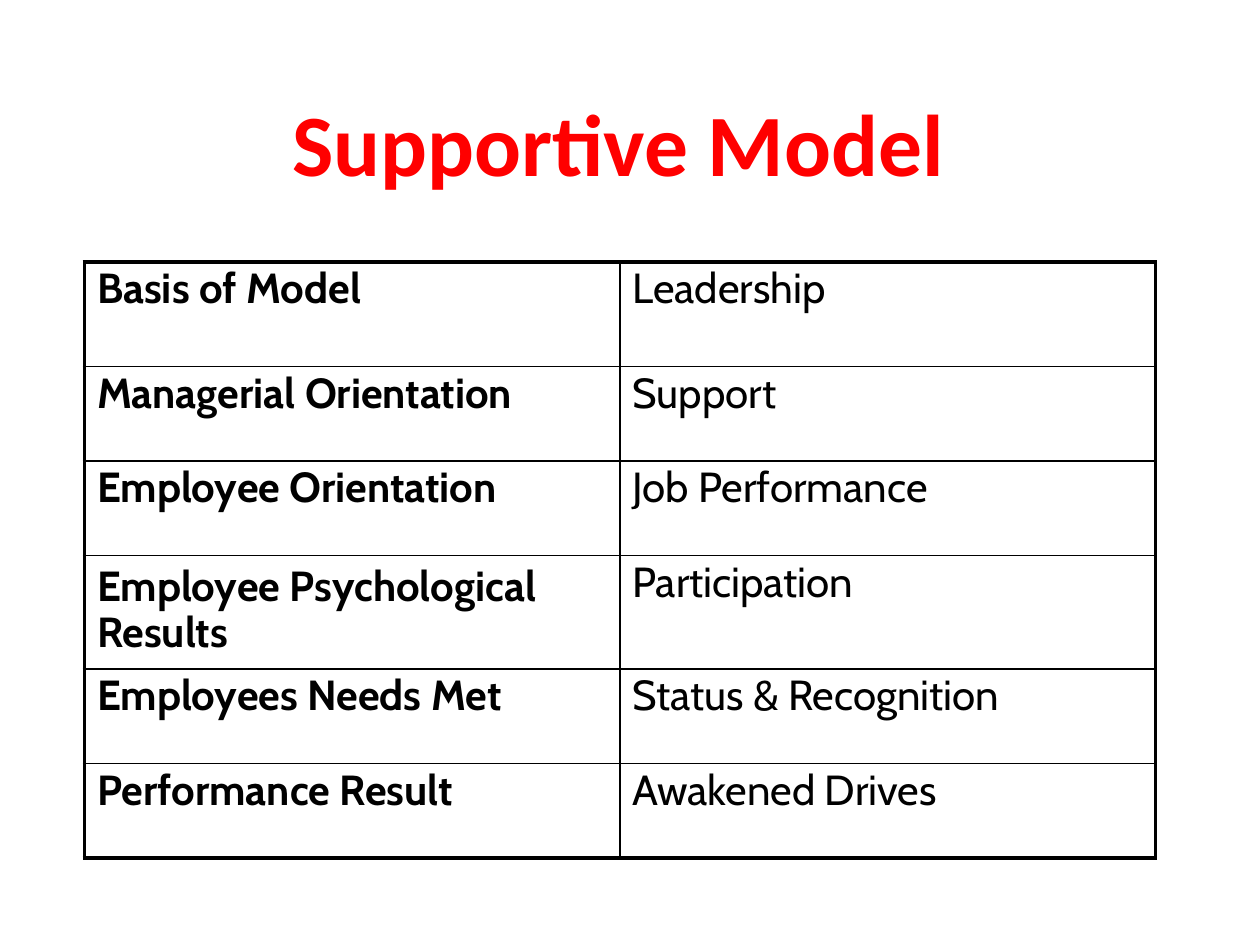
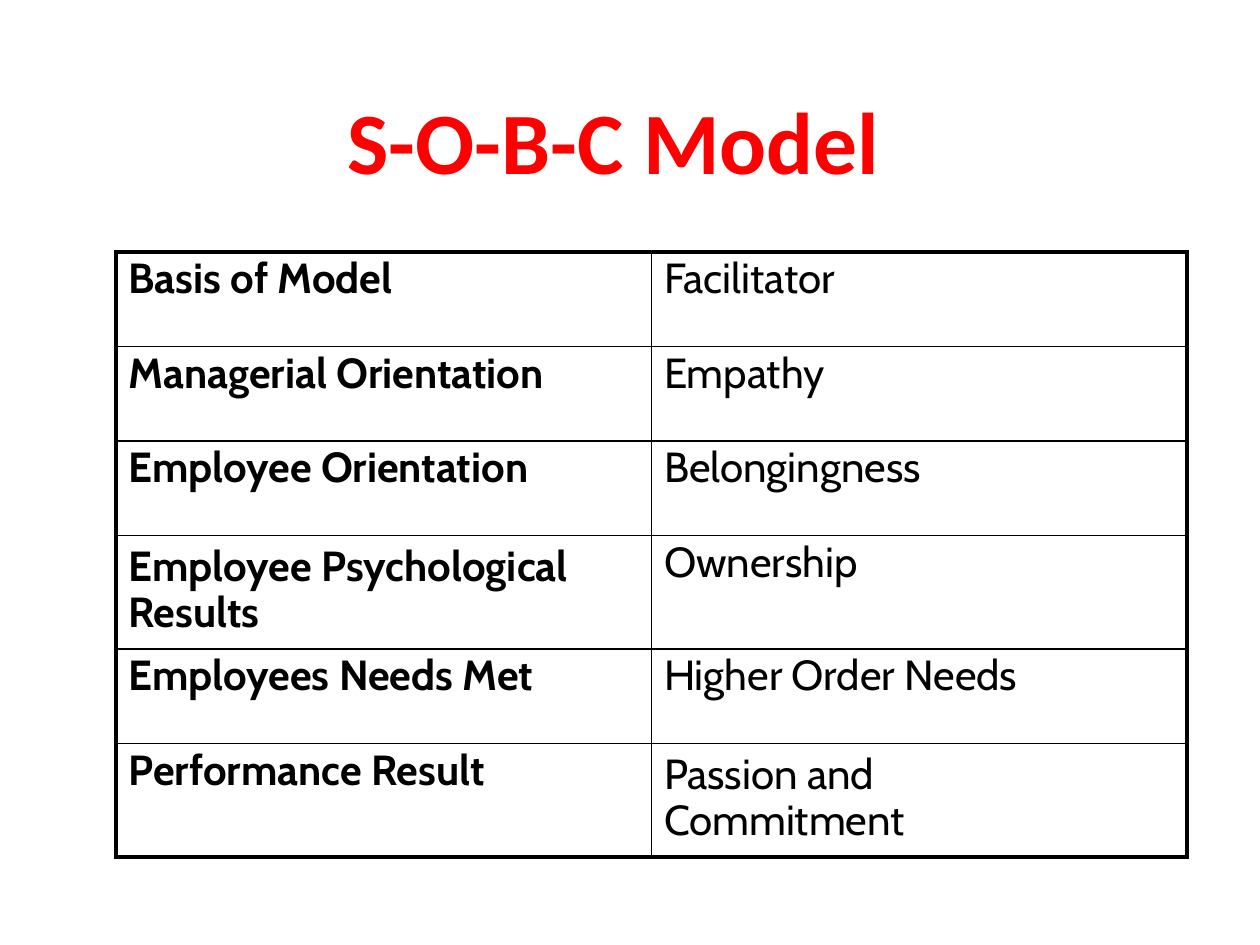
from lxml.etree import SubElement
from pptx import Presentation
from pptx.dml.color import RGBColor
from pptx.enum.text import MSO_ANCHOR, PP_ALIGN
from pptx.oxml.ns import qn
from pptx.util import Inches, Pt

TITLE_COLOR, INK = "FF0000", "000000"
TITLE_FONT, TABLE_FONT = "Calibri", "Cabin"
OUTER, INNER = 2.25, 1  # rule widths in points
COLUMN_WIDTH = 4.25
NORMAL_ROW, TALL_ROW = 0.75, 0.9
ASPECTS = ["Basis of Model", "Managerial Orientation", "Employee Orientation",
           "Employee Psychological Results", "Employees Needs Met",
           "Performance Result"]
TWO_LINE_TEXTS = {"Employee Psychological Results", "Passion and Commitment"}

MODELS = [
    {"title": "Supportive Model", "title_box": (2.31, 0.7, 5.25, 0.86),
     "table_at": (0.67, 2.08), "first_row": 0.83,
     "answers": ["Leadership", "Support", "Job Performance", "Participation",
                 "Status & Recognition", "Awakened Drives"]},
    {"title": "S-O-B-C Model", "title_box": (2.75, 0.68, 5.17, 0.86),
     "table_at": (0.92, 2), "first_row": NORMAL_ROW,
     "answers": ["Facilitator", "Empathy", "Belongingness", "Ownership",
                 "Higher Order Needs", "Passion and Commitment"]},
]


def color(hex_value):
    return RGBColor.from_string(hex_value)


def write(frame, text, *, font, size, ink, bold=False, line=None):
    frame.word_wrap = True
    paragraph = frame.paragraphs[0]
    paragraph.alignment = PP_ALIGN.LEFT
    if line:
        paragraph.line_spacing = Pt(line)
    run = paragraph.add_run()
    run.text = text
    run.font.name, run.font.size, run.font.bold = font, Pt(size), bold
    run.font.color.rgb = color(ink)


def set_borders(cell, **widths):
    properties = cell._tc.get_or_add_tcPr()
    for side in "LRTB":
        border = SubElement(properties, qn(f"a:ln{side}"), w=str(Pt(widths[side])))
        fill = SubElement(border, qn("a:solidFill"))
        SubElement(fill, qn("a:srgbClr"), val=INK)


def place_title(slide, text, box):
    title = slide.shapes.title
    title.left, title.top, title.width, title.height = map(Inches, box)
    frame = title.text_frame
    frame.margin_left = frame.margin_top = Inches(0.01)
    frame.margin_right = frame.margin_bottom = 0
    frame.vertical_anchor = MSO_ANCHOR.TOP
    write(frame, text, font=TITLE_FONT, size=50, ink=TITLE_COLOR, bold=True)


def fill_cell(cell, text, is_aspect):
    two_lines = text in TWO_LINE_TEXTS
    cell.margin_left = Inches(0.1)
    cell.margin_top = Inches(0.09 if two_lines else 0.01)
    # Answers that run over two lines keep clear of the right edge
    cell.margin_right = Inches(1 if two_lines and not is_aspect else 0)
    cell.margin_bottom = 0
    write(cell.text_frame, text, font=TABLE_FONT, size=24, ink=INK,
          bold=is_aspect, line=26 if two_lines else None)


def place_table(slide, answers, at, first_row):
    rows = list(zip(ASPECTS, answers))
    heights = [TALL_ROW if TWO_LINE_TEXTS & set(row) else NORMAL_ROW for row in rows]
    heights[0] = first_row
    left, top = at
    table = slide.shapes.add_table(
        len(rows), 2, Inches(left), Inches(top),
        Inches(2 * COLUMN_WIDTH), Inches(sum(heights))).table
    table.first_row = table.horz_banding = False
    for column in table.columns:
        column.width = Inches(COLUMN_WIDTH)
    last = len(rows) - 1
    for r, row in enumerate(rows):
        table.rows[r].height = Inches(heights[r])
        for c, text in enumerate(row):
            cell = table.cell(r, c)
            fill_cell(cell, text, is_aspect=c == 0)
            set_borders(cell,
                        L=OUTER if c == 0 else INNER,
                        R=OUTER if c == 1 else INNER,
                        T=OUTER if r == 0 else INNER,
                        B=OUTER if r == last else INNER)
            cell.fill.background()


def build_model_slide(deck, model):
    slide = deck.slides.add_slide(deck.slide_layouts.get_by_name("Title Only"))
    place_title(slide, model["title"], model["title_box"])
    place_table(slide, model["answers"], model["table_at"], model["first_row"])


def main():
    deck = Presentation()
    deck.slide_width, deck.slide_height = Inches(10), Inches(7.5)
    for model in MODELS:
        build_model_slide(deck, model)
    deck.save("out.pptx")


if __name__ == "__main__":
    main()
